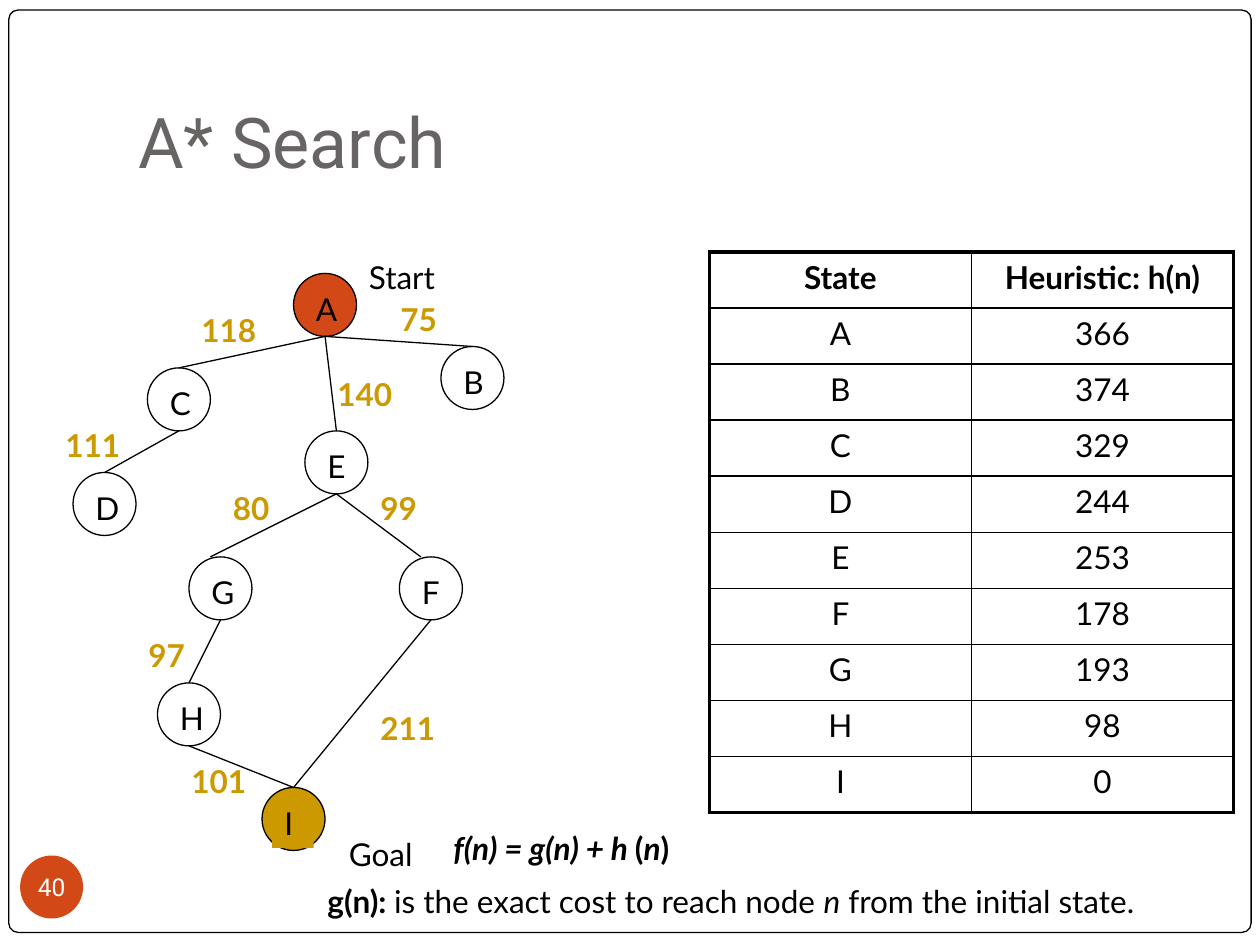
from dataclasses import dataclass

from lxml import etree
from pptx import Presentation
from pptx.dml.color import RGBColor
from pptx.enum.shapes import MSO_CONNECTOR, MSO_SHAPE
from pptx.enum.text import MSO_ANCHOR, PP_ALIGN
from pptx.oxml.ns import qn
from pptx.util import Inches, Pt

STRAIGHT = MSO_CONNECTOR.STRAIGHT
OVAL = MSO_SHAPE.OVAL
ROUNDED = MSO_SHAPE.ROUNDED_RECTANGLE
CENTER = PP_ALIGN.CENTER
TOP, MIDDLE, BOTTOM = MSO_ANCHOR.TOP, MSO_ANCHOR.MIDDLE, MSO_ANCHOR.BOTTOM


@dataclass(frozen=True)
class Theme:
    ink: str = "000000"
    paper: str = "FFFFFF"
    heading: str = "696464"
    accent: str = "D34817"
    gold: str = "CC9900"
    body_font: str = "Lato"
    title_font: str = "Roboto"
    title_size: float = 40
    body_size: float = 18
    number_size: float = 14
    thin: float = 0.75
    inner_border: float = 1
    outer_border: float = 2.25


@dataclass(frozen=True)
class Node:
    name: str
    left: float
    top: float
    fill: str | None = None


@dataclass(frozen=True)
class Edge:
    parent: str
    child: str
    end_shift: float = 0


@dataclass(frozen=True)
class Label:
    text: str
    left: float
    top: float
    width: float = 0.83
    is_cost: bool = True


THEME = Theme()
NODE_SIZE = 0.5
LETTER_INSET = 0.08
LINE_HEIGHT = 0.4

NODES = [
    Node("A", 2.33, 2.17, THEME.accent),
    Node("B", 3.5, 2.75),
    Node("D", 0.58, 3.75),
    Node("C", 1.17, 2.92),
    Node("E", 2.42, 3.42),
    Node("F", 3.17, 4.42),
    Node("I", 2.08, 6.25, THEME.gold),
    Node("G", 1.5, 4.42),
    Node("H", 1.25, 5.42),
]
EDGES = [
    Edge("E", "F", -0.08),
    Edge("F", "I"),
    Edge("E", "G", -0.08),
    Edge("G", "H"),
    Edge("H", "I"),
    Edge("A", "B"),
    Edge("A", "E"),
    Edge("A", "C"),
    Edge("C", "D"),
]
LABELS = [
    Label("99", 2.92, 3.83, 0.67),
    Label("211", 2.92, 5.58),
    Label("80", 1.75, 3.83, 0.67),
    Label("Start", 2.83, 2, 1.33, False),
    Label("Goal", 2.67, 6.58, 1.33, False),
    Label("97", 1.08, 5, 0.67),
    Label("101", 1.42, 6, 0.92),
    Label("75", 3.08, 2.33, 0.67),
    Label("118", 1.5, 2.42),
    Label("111", 0.42, 3.33),
    Label("140", 2.58, 2.93),
]
HEURISTICS = [
    ("State", "Heuristic: h(n)"),
    ("A", "366"), ("B", "374"), ("C", "329"), ("D", "244"), ("E", "253"),
    ("F", "178"), ("G", "193"), ("H", "98"), ("I", "0"),
]


def write(para, text: str, *, size=THEME.body_size, color=THEME.ink,
          font=THEME.body_font, bold=False, italic=False) -> None:
    span = para.add_run()
    span.text = text
    span.font.size = Pt(size)
    span.font.name = font
    span.font.bold = bold
    span.font.italic = italic
    span.font.color.rgb = RGBColor.from_string(color)


def paint(shape, fill: str | None) -> None:
    if fill is None:
        shape.fill.background()
    else:
        shape.fill.solid()
        shape.fill.fore_color.rgb = RGBColor.from_string(fill)


def add_box(page, left: float, top: float, width: float, height: float,
            *, anchor=TOP, fill: str | None = None):
    box = page.shapes.add_textbox(Inches(left), Inches(top), Inches(width), Inches(height))
    box.text_frame.word_wrap = True
    box.text_frame.vertical_anchor = anchor
    paint(box, fill)
    return box


def add_outline(page, preset, left: float, top: float, width: float, height: float,
                *, fill: str | None, line: str | None = THEME.ink):
    shape = page.shapes.add_shape(preset, Inches(left), Inches(top), Inches(width), Inches(height))
    shape.shadow.inherit = False
    paint(shape, fill)
    if line is None:
        shape.line.fill.background()
    else:
        shape.line.color.rgb = RGBColor.from_string(line)
        shape.line.width = Pt(THEME.thin)
    return shape


def add_node(page, node: Node):
    circle = add_outline(page, OVAL, node.left, node.top, NODE_SIZE, NODE_SIZE, fill=node.fill)
    letter_fill = node.fill if node.name == "I" else None
    box = add_box(page, node.left + LETTER_INSET, node.top + LETTER_INSET, 0.33, LINE_HEIGHT,
                  fill=letter_fill)
    write(box.text_frame.paragraphs[0], node.name)
    return circle


def add_edge(page, edge: Edge, circles: dict) -> None:
    parent, child = circles[edge.parent], circles[edge.child]
    line = page.shapes.add_connector(
        STRAIGHT, parent.left + parent.width // 2, parent.top + parent.height,
        child.left + child.width // 2 + Inches(edge.end_shift), child.top)
    if not edge.end_shift:
        line.end_connect(child, 0)
    line.line.color.rgb = RGBColor.from_string(THEME.ink)
    line.line.width = Pt(THEME.thin)
    etree.SubElement(line.element.spPr, qn("a:effectLst"))


def add_label(page, label: Label) -> None:
    box = add_box(page, label.left, label.top, label.width, LINE_HEIGHT)
    color = THEME.gold if label.is_cost else THEME.ink
    write(box.text_frame.paragraphs[0], label.text, color=color, bold=label.is_cost)


def set_border(cell, side: str, width: float) -> None:
    border = etree.SubElement(cell._tc.get_or_add_tcPr(), qn(f"a:{side}"), w=str(Pt(width)))
    fill = etree.SubElement(border, qn("a:solidFill"))
    etree.SubElement(fill, qn("a:srgbClr"), val=THEME.ink)


def add_heuristics(page) -> None:
    rows, columns = len(HEURISTICS), len(HEURISTICS[0])
    table = page.shapes.add_table(rows, columns, Inches(5.63), Inches(2),
                                  Inches(2.08 * columns), Inches(0.445 * rows)).table
    table.first_row = table.horz_banding = False
    for row, values in enumerate(HEURISTICS):
        for column, value in enumerate(values):
            cell = table.cell(row, column)
            outer_sides = {"lnL": column == 0, "lnR": column == columns - 1,
                           "lnT": row == 0, "lnB": row == rows - 1}
            for side, is_outer in outer_sides.items():
                set_border(cell, side, THEME.outer_border if is_outer else THEME.inner_border)
            cell.fill.background()
            para = cell.text_frame.paragraphs[0]
            para.alignment = CENTER
            write(para, value, bold=row == 0)


def add_frame(page) -> None:
    border = add_outline(page, ROUNDED, 0.07, 0.08, 9.86, 7.32, fill=THEME.paper)
    border.adjustments[0] = 0.01
    title = add_box(page, 1, 0.3, 8.5, 1.25, anchor=BOTTOM).text_frame
    title.margin_bottom = Inches(0.1)
    write(title.paragraphs[0], "A* Search", size=THEME.title_size,
          color=THEME.heading, font=THEME.title_font)
    badge = add_outline(page, OVAL, 0.16, 6.79, 0.5, 0.5, fill=THEME.accent, line=None).text_frame
    badge.margin_left = badge.margin_right = badge.margin_top = badge.margin_bottom = 0
    badge.vertical_anchor = MIDDLE
    badge.paragraphs[0].alignment = CENTER
    write(badge.paragraphs[0], "40", size=THEME.number_size,
          color=THEME.paper, font=THEME.title_font)


def add_formula(page) -> None:
    frame = add_box(page, 2.5, 6.53, 7.25, 1.3).text_frame
    formula = frame.paragraphs[0]
    write(formula, "\t\tf(n) = g(n) + h ", bold=True, italic=True)
    write(formula, "(", bold=True)
    write(formula, "n", bold=True, italic=True)
    write(formula, ")", bold=True)
    meaning = frame.add_paragraph()
    meaning.space_before = Pt(9)
    write(meaning, "g(n): ", bold=True)
    write(meaning, "is the exact cost to reach node ")
    write(meaning, "n", italic=True)
    write(meaning, " from the initial state.")


def main() -> None:
    deck = Presentation()
    deck.slide_width, deck.slide_height = Inches(10), Inches(7.5)
    page = deck.slides.add_slide(deck.slide_layouts[6])
    add_frame(page)
    add_heuristics(page)
    add_formula(page)
    circles = {node.name: add_node(page, node) for node in NODES}
    for edge in EDGES:
        add_edge(page, edge, circles)
    for label in LABELS:
        add_label(page, label)
    deck.save("out.pptx")


if __name__ == "__main__":
    main()
